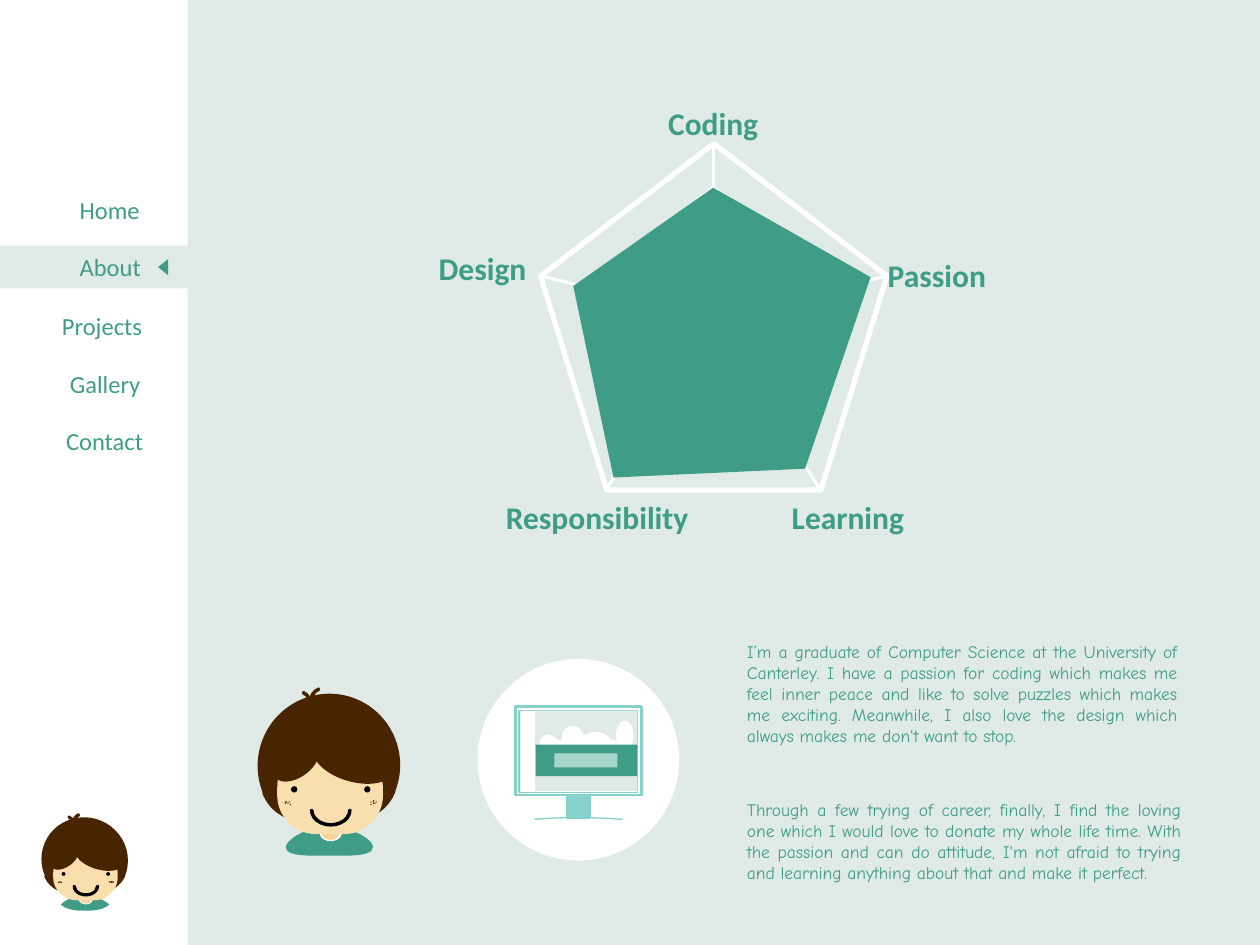
"""Build an "About" page with a menu, a skills radar, a cartoon avatar and a biography."""
from dataclasses import dataclass

from lxml import etree
from pptx import Presentation
from pptx.dml.color import RGBColor
from pptx.enum.shapes import MSO_CONNECTOR, MSO_SHAPE
from pptx.enum.text import MSO_AUTO_SIZE, PP_ALIGN
from pptx.oxml.ns import qn
from pptx.util import Inches, Pt

RECT, ELLIPSE, CHORD = MSO_SHAPE.RECTANGLE, MSO_SHAPE.OVAL, MSO_SHAPE.CHORD
BLOCK_ARC, ARC = MSO_SHAPE.BLOCK_ARC, MSO_SHAPE.ARC
TRIANGLE, PENTAGON = MSO_SHAPE.ISOSCELES_TRIANGLE, MSO_SHAPE.REGULAR_PENTAGON
STRAIGHT = MSO_CONNECTOR.STRAIGHT
CENTER, JUSTIFY = PP_ALIGN.CENTER, PP_ALIGN.JUSTIFY
FIT_SHAPE = MSO_AUTO_SIZE.SHAPE_TO_FIT_TEXT

SLIDE_WIDTH, SLIDE_HEIGHT = Inches(10), Inches(7.5)
COLUMNS = 10
CELL = SLIDE_WIDTH / COLUMNS


@dataclass(frozen=True)
class TextStyle:
    font: str
    size: float
    bold: bool = False
    align: PP_ALIGN = CENTER
    wrap: bool = False


@dataclass(frozen=True)
class Theme:
    green: str = "3E9C87"
    mist: str = "E0EBE8"
    white: str = "FFFFFF"
    aqua: str = "86D1CC"
    mint: str = "D5EFE9"
    hair: str = "482400"
    skin: str = "FADFAE"
    neck: str = "F8D596"
    ink: str = "000000"
    menu: TextStyle = TextStyle("Calibri", 14)
    skill: TextStyle = TextStyle("Calibri", 18, bold=True)
    biography: TextStyle = TextStyle("Comic Neue", 10, align=JUSTIFY, wrap=True)


THEME = Theme()


@dataclass(frozen=True)
class Frame:
    left: float = 0
    top: float = 0
    across: float = 1
    down: float = 1

    def place(self, x: float, y: float) -> tuple[float, float]:
        """Turn local grid units into slide grid units."""
        return self.left + x * self.across, self.top + y * self.down


PAGE = Frame()


@dataclass(frozen=True)
class Part:
    kind: MSO_SHAPE
    box: tuple
    fill: str | None = None
    line: str | None = None
    weight: float = 1.5
    turn: float = 0
    bends: tuple = ()
    flip: bool = False
    opacity: int = 100


@dataclass(frozen=True)
class Outline:
    start: tuple
    segments: tuple
    fill: str


@dataclass(frozen=True)
class Avatar:
    frame: Frame
    shirt: Outline
    freckles: tuple


@dataclass(frozen=True)
class Label:
    text: str
    box: tuple


@dataclass(frozen=True)
class Skill(Label):
    tip: tuple


MENU = (
    Label("Home", (0.53, 1.5, 0.68, 0.34)),
    Label("About", (0.53, 1.95, 0.69, 0.34)),
    Label("Projects", (0.39, 2.42, 0.84, 0.34)),
    Label("Gallery", (0.45, 2.88, 0.77, 0.34)),
    Label("Contact", (0.42, 3.33, 0.82, 0.34)),
)
SIDEBAR = (
    Part(RECT, (-0.01, 0, 1.5, 7.5), THEME.white),
    Part(RECT, (-0.01, 1.95, 1.51, 0.34), THEME.mist),
)
MARKER = Part(TRIANGLE, (1.23, 2.08, 0.13, 0.08), THEME.green, turn=270)

BIOGRAPHY = (
    Label("Through a few trying of career, finally, I find the loving one which I would love to donate my "
          "whole life time. With the passion and can do attitude, I'm not afraid to trying and learning "
          "anything about that and make it perfect.", (5.83, 6.29, 3.64, 0.94)),
    Label("I’m a graduate of Computer Science at the University of Canterley. I have a passion for coding "
          "which makes me feel inner peace and like to solve puzzles which makes me exciting. Meanwhile, I "
          "also love the design which always makes me don't want to stop.", (5.83, 5.04, 3.61, 1.11)),
)

RADAR_CENTER = (5.66, 2.52)
RADAR_RINGS = ((4.29, 1.14, 2.75, 3), (4.66, 1.49, 2, 1.75), (5.04, 1.89, 1.25, 1.75))
SKILLS = (
    Skill("Design", (3.38, 1.93, 0.9, 0.4), (4.29, 2.19)),
    Skill("Coding", (5.2, 0.78, 0.92, 0.4), (5.66, 1.14)),
    Skill("Passion", (6.94, 1.98, 0.99, 0.4), (7.04, 2.19)),
    Skill("Learning", (6.18, 3.9, 1.1, 0.4), (6.51, 3.89)),
    Skill("Responsibility", (3.91, 3.9, 1.66, 0.4), (4.81, 3.89)),
)
SKILL_AREA = Outline((4.55, 2.27), (((5.66, 1.49),), ((6.91, 2.2),), ((6.39, 3.72),), ((4.87, 3.79),)), THEME.green)

LOCKS = (
    Outline((0.48, 1.62), (((0.69, 1.52), (1.03, 1.57), (1.14, 1.28)),), THEME.hair),
    Outline((0.74, 1.62), (((0.53, 1.53), (0.19, 1.58), (0.08, 1.29)),), THEME.hair),
)
FACE = Outline((0.2, 1.31), (
    ((0.2, 1.14), (0.2, 1.02), (0.51, 1)), ((0.73, 1),),
    ((1.03, 1.01), (1.04, 1.14), (1.04, 1.31)), ((1.04, 1.48), (0.9, 1.62), (0.73, 1.62)),
    ((0.51, 1.62),), ((0.34, 1.62), (0.2, 1.48), (0.2, 1.31))), THEME.skin)
FEATURES = (
    Part(CHORD, (0.56, 1.52, 0.13, 0.18), THEME.white, turn=270, bends=(54.01, 162)),
    Part(CHORD, (0.55, 1.51, 0.15, 0.16), THEME.neck, turn=270, bends=(54.01, 162)),
    Part(CHORD, (0.04, 0.51, 1.14, 1.13), THEME.hair, turn=112.8, bends=(22.9, 164.42)),
    FACE,
    Part(CHORD, (0.21, 0.82, 0.27, 0.43), THEME.hair, turn=233.5, bends=(47.33, 164.53)),
    Part(CHORD, (0.63, 0.69, 0.36, 0.67), THEME.hair, turn=286, bends=(47.33, 164.53)),
    Part(ELLIPSE, (0.31, 1.24, 0.05, 0.05), THEME.ink),
    Part(ELLIPSE, (0.89, 1.24, 0.05, 0.05), THEME.ink),
    Part(BLOCK_ARC, (0.47, 1.31, 0.31, 0.24), THEME.ink, THEME.ink, turn=180, bends=(108, 0, 0.03)),
    Part(BLOCK_ARC, (0.43, 0.49, 0.31, 0.24), THEME.hair, THEME.hair, turn=248.7, bends=(184.7, 0, 0.03)),
    Part(BLOCK_ARC, (0.13, 0.56, 0.41, 0.25), THEME.hair, THEME.hair, turn=111.3, bends=(184.7, 0, 0.03), flip=True),
)
SMALL_AVATAR = Avatar(
    Frame(0.3, 6.19, 0.61, 0.59),
    Outline((0.62, 1.56), (
        ((0.75, 1.57), (0.87, 1.61), (0.93, 1.68)), ((0.84, 1.75), (0.74, 1.76), (0.61, 1.76)),
        ((0.49, 1.76), (0.39, 1.75), (0.3, 1.68)), ((0.36, 1.61), (0.48, 1.56), (0.62, 1.56))), THEME.green),
    ((0.97, 1.37), (0.93, 1.36), (0.95, 1.37), (0.97, 1.36), (0.95, 1.36), (0.93, 1.37),
     (0.28, 1.37), (0.26, 1.37), (0.28, 1.36), (0.3, 1.37)))
LARGE_AVATAR = Avatar(
    Frame(2, 5),
    Outline((0.62, 1.57), (
        ((0.76, 1.57), (0.87, 1.61), (0.94, 1.68)), ((1.04, 1.81), (0.73, 1.79), (0.61, 1.79)),
        ((0.5, 1.79), (0.18, 1.81), (0.29, 1.68)), ((0.36, 1.61), (0.48, 1.56), (0.62, 1.57))), THEME.green),
    ((0.96, 1.36), (0.97, 1.37), (0.94, 1.36), (0.96, 1.37), (0.98, 1.36), (0.96, 1.35), (0.94, 1.38),
     (0.26, 1.37), (0.29, 1.36), (0.28, 1.37), (0.26, 1.36), (0.27, 1.36), (0.3, 1.38)))
FRECKLE = 0.01
BADGE = Part(ELLIPSE, (0.25, 6.41, 0.85, 0.82), THEME.white)

CLOUDS = ((4.41, 5.87, 0.07, 0.08), (4.46, 5.76, 0.17, 0.18), (4.6, 5.81, 0.25, 0.16),
          (4.8, 5.87, 0.13, 0.23), (4.89, 5.72, 0.14, 0.23), (4.28, 5.83, 0.15, 0.15))
MONITOR = (
    Part(ELLIPSE, (3.79, 5.23, 1.6, 1.6), THEME.white),
    Part(RECT, (4.09, 5.61, 1, 0.7), line=THEME.aqua),
    Part(RECT, (4.12, 5.64, 0.94, 0.65), line=THEME.aqua, weight=1),
    Part(RECT, (4.51, 6.32, 0.17, 0.17), THEME.aqua, THEME.aqua, 2),
    Part(ARC, (3.92, 6.49, 1.33, 0.17), line=THEME.aqua, weight=0.75, bends=(115.22, 209.15)),
    Part(RECT, (4.13, 5.64, 0.93, 0.64), THEME.mist),
    Part(RECT, (3.87, 5.91, 0.64, 0.11), THEME.white, turn=270),
    *(Part(ELLIPSE, cloud, THEME.white) for cloud in CLOUDS),
    Part(RECT, (4.25, 5.91, 0.81, 0.25), THEME.green),
    Part(RECT, (4.4, 5.98, 0.5, 0.11), THEME.mint, opacity=70),
)


def span(*cells: float) -> list[int]:
    """Convert grid units to slide lengths."""
    return [round(cell * CELL) for cell in cells]


def paint(shape, fill: str | None, line: str | None = None, weight: float = 1.5) -> None:
    """Set fill and line and remove the shadow."""
    shape.shadow.inherit = False
    if fill:
        shape.fill.solid()
        shape.fill.fore_color.rgb = RGBColor.from_string(fill)
    else:
        shape.fill.background()
    if line:
        shape.line.color.rgb = RGBColor.from_string(line)
        shape.line.width = Pt(weight)
    else:
        shape.line.fill.background()


def draw_part(shapes, part: Part, frame: Frame = PAGE) -> None:
    """Draw a preset shape scaled about its centre within a frame."""
    left, top, width, height = part.box
    x, y = frame.place(left + width / 2, top + height / 2)
    sideways = 45 < part.turn % 180 < 135
    across, down = (frame.down, frame.across) if sideways else (frame.across, frame.down)
    width, height = width * across, height * down
    shape = shapes.add_shape(part.kind, *span(x - width / 2, y - height / 2, width, height))
    paint(shape, part.fill, part.line, part.weight)
    shape.rotation = part.turn
    for index, bend in enumerate(part.bends):
        shape.adjustments[index] = bend
    if part.flip:
        shape.element.spPr.xfrm.set("flipH", "1")
    if part.opacity < 100:
        color = shape.element.spPr.find(qn("a:solidFill"))[0]
        etree.SubElement(color, qn("a:alpha")).set("val", str(part.opacity * 1000))


def draw_outline(shapes, outline: Outline, frame: Frame = PAGE) -> None:
    """Draw a filled freeform of lines and cubic curves within a frame."""
    anchors = [span(*frame.place(*point)) for point in (outline.start, *(s[-1] for s in outline.segments))]
    left, top = (min(values) for values in zip(*anchors))
    builder = shapes.build_freeform(*anchors[0])
    builder.add_line_segments(anchors[1:], close=True)
    shape = builder.convert_to_shape()
    paint(shape, outline.fill)
    steps = list(shape.element.spPr.iter(qn("a:lnTo")))
    for step, segment in zip(steps, outline.segments):
        if len(segment) == 3:
            curve = etree.Element(qn("a:cubicBezTo"))
            for point in segment:
                x, y = span(*frame.place(*point))
                etree.SubElement(curve, qn("a:pt"), x=str(x - left), y=str(y - top))
            step.getparent().replace(step, curve)


def draw_text(shapes, label: Label, style: TextStyle) -> None:
    """Add one paragraph in a text box."""
    frame = shapes.add_textbox(*span(*label.box)).text_frame
    frame.word_wrap = style.wrap
    frame.auto_size = FIT_SHAPE
    paragraph = frame.paragraphs[0]
    paragraph.text = label.text
    paragraph.alignment = style.align
    font = paragraph.font
    font.name, font.size, font.bold = style.font, Pt(style.size), style.bold
    font.color.rgb = RGBColor.from_string(THEME.green)


def draw_spoke(shapes, tip: tuple) -> None:
    """Draw a line from a radar corner to its centre."""
    spoke = shapes.add_connector(STRAIGHT, *span(*tip, *RADAR_CENTER))
    spoke.line.color.rgb = RGBColor.from_string(THEME.white)
    spoke.line.width = Pt(1.75)
    etree.SubElement(spoke.element.spPr, qn("a:effectLst"))


def draw_radar(shapes) -> None:
    """Draw the rings, spokes, labels and filled area of the skills radar."""
    for left, top, size, weight in RADAR_RINGS:
        draw_part(shapes, Part(PENTAGON, (left, top, size, size), line=THEME.white, weight=weight))
    for skill in SKILLS:
        draw_spoke(shapes, skill.tip)
    for skill in SKILLS:
        draw_text(shapes, skill, THEME.skill)
    draw_outline(shapes, SKILL_AREA)


def draw_avatar(shapes, avatar: Avatar) -> None:
    """Draw the cartoon head with its shirt and freckles."""
    for layer in (*LOCKS, avatar.shirt, *FEATURES):
        draw = draw_outline if isinstance(layer, Outline) else draw_part
        draw(shapes, layer, avatar.frame)
    for freckle in avatar.freckles:
        draw_part(shapes, Part(ELLIPSE, (*avatar.frame.place(*freckle), FRECKLE, FRECKLE), THEME.hair))


def main() -> None:
    """Build and save the slide."""
    deck = Presentation()
    deck.slide_width, deck.slide_height = SLIDE_WIDTH, SLIDE_HEIGHT
    slide = deck.slides.add_slide(deck.slide_layouts[6])
    slide.background.fill.solid()
    slide.background.fill.fore_color.rgb = RGBColor.from_string(THEME.mist)
    shapes = slide.shapes
    for panel in SIDEBAR:
        draw_part(shapes, panel)
    for entry in MENU:
        draw_text(shapes, entry, THEME.menu)
    draw_part(shapes, MARKER)
    for passage in BIOGRAPHY:
        draw_text(shapes, passage, THEME.biography)
    draw_radar(shapes.add_group_shape().shapes)
    corner = shapes.add_group_shape().shapes
    draw_part(corner, BADGE)
    draw_avatar(corner, SMALL_AVATAR)
    portrait = shapes.add_group_shape().shapes
    draw_avatar(portrait, LARGE_AVATAR)
    for part in MONITOR:
        draw_part(portrait, part)
    deck.save("out.pptx")


if __name__ == "__main__":
    main()
